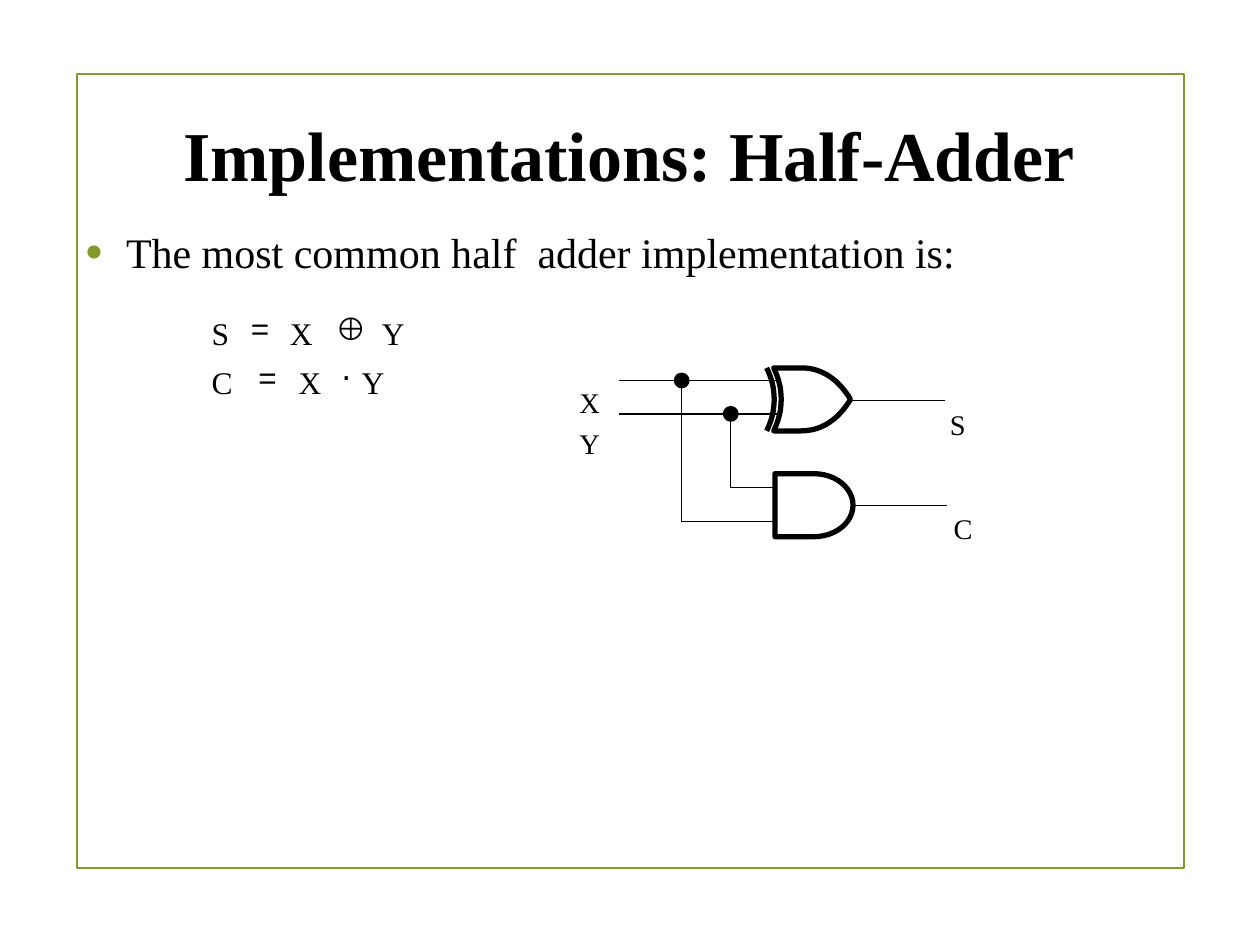
from dataclasses import dataclass

import pptx
import pptx.dml.color
import pptx.enum.shapes
import pptx.enum.text
import pptx.oxml
import pptx.oxml.ns
import pptx.util

COLUMNS, ROWS = 100, 75  # the slide is ruled in square cells of 0.1 inch
SHAPES = pptx.enum.shapes.MSO_SHAPE
ANCHORS = pptx.enum.text.MSO_ANCHOR
AUTO_SIZE = pptx.enum.text.MSO_AUTO_SIZE
ALIGN = pptx.enum.text.PP_ALIGN


@dataclass(frozen=True)
class Theme:
    ink: str = "000000"
    accent: str = "83992A"
    text_font: str = "Times New Roman"
    symbol_font: str = "Arial"
    title_size: float = 40
    body_size: float = 24
    formula_size: float = 18
    label_size: float = 28
    frame_line: float = 1.25
    wire_line: float = 0.75
    gate_line: float = 3
    junction_line: float = 3.25


THEME = Theme()


def cells(count):
    return pptx.util.Inches(round(count / 10, 3))


def color(value):
    return pptx.dml.color.RGBColor.from_string(value)


def place(shape, left, top, width, height):
    shape.left, shape.top = cells(left), cells(top)
    shape.width, shape.height = cells(width), cells(height)


def add_run(paragraph, text, size, font=THEME.text_font, bold=False):
    run = paragraph.add_run()
    run.text = text
    run.font.name = font
    run.font.size = pptx.util.Pt(size)
    run.font.bold = bold
    run.font.color.rgb = color(THEME.ink)
    return run


def outline(shape, width, line=THEME.ink, fill=None):
    shape.shadow.inherit = False
    shape.line.color.rgb = color(line)
    shape.line.width = pptx.util.Pt(width)
    if fill:
        shape.fill.solid()
        shape.fill.fore_color.rgb = color(fill)
    else:
        shape.fill.background()
    return shape


def add_preset(slide, preset, left, top, width, height, line_width, **colors):
    box = [cells(length) for length in (left, top, width, height)]
    return outline(slide.shapes.add_shape(preset, *box), line_width, **colors)


def add_title(slide, text):
    title = slide.shapes.title
    place(title, 5.8, 5, 88.3, 14.3)
    frame = title.text_frame
    frame.auto_size = AUTO_SIZE.NONE
    frame.vertical_anchor = ANCHORS.MIDDLE
    frame.paragraphs[0].alignment = ALIGN.CENTER
    add_run(frame.paragraphs[0], text, THEME.title_size, bold=True)


def add_bullet(slide, text):
    body = slide.placeholders[1]
    place(body, 5.8, 17.5, 85, 55)
    body.text_frame.auto_size = AUTO_SIZE.NONE
    paragraph = body.text_frame.paragraphs[0]
    paragraph.space_before = pptx.util.Pt(0)
    paragraph.space_after = pptx.util.Pt(6)
    properties = paragraph._p.get_or_add_pPr()
    indent = cells(3.2)
    properties.set("marL", str(indent))
    properties.set("indent", str(-indent))
    namespace = pptx.oxml.ns.nsdecls("a")
    for markup in (
        f'<a:buClr {namespace}><a:srgbClr val="{THEME.accent}"/></a:buClr>',
        f'<a:buSzPct {namespace} val="115000"/>',
        f'<a:buFont {namespace} typeface="Arial"/>',
        f'<a:buChar {namespace} char="•"/>',
    ):
        properties.append(pptx.oxml.parse_xml(markup))
    add_run(paragraph, text, THEME.body_size)


def add_text(slide, text, left, top, width, height, size, font=THEME.text_font):
    box = slide.shapes.add_textbox(*map(cells, (left, top, width, height)))
    box.text_frame.word_wrap = False
    box.text_frame.auto_size = AUTO_SIZE.SHAPE_TO_FIT_TEXT
    return box.text_frame, add_run(box.text_frame.paragraphs[0], text, size, font)


def add_formula(slide, top, symbols):
    """Set letters on one row, and operators slightly above it."""
    for text, left, width in symbols:
        letter = text.isalpha()
        font = THEME.text_font if letter else THEME.symbol_font
        row = top if letter else top - 0.4
        frame, _ = add_text(slide, text, left, row, width, 4.7, THEME.formula_size, font)
        frame.margin_left = frame.margin_right = 0
        frame.margin_top = frame.margin_bottom = 0


def add_label(slide, text, left, top, width):
    _, run = add_text(slide, text, left, top, width, 5, THEME.label_size)
    run.font._element.set("baseline", "-25000")


def add_wire(slide, start, end, gate=None):
    """Draw a wire; a gate, if given, holds its start at the right side."""
    wire = slide.shapes.add_connector(
        pptx.enum.shapes.MSO_CONNECTOR.STRAIGHT, *map(cells, start + end))
    if gate is not None:
        wire.begin_connect(gate, 3)
    wire.line.color.rgb = color(THEME.ink)
    wire.line.width = pptx.util.Pt(THEME.wire_line)
    namespace = pptx.oxml.ns.nsdecls("a")
    wire._element.spPr.append(pptx.oxml.parse_xml(f"<a:effectLst {namespace}/>"))


def add_junction(slide, x, y, diameter=0.8):
    add_preset(slide, SHAPES.OVAL, x - diameter / 2, y - diameter / 2, diameter,
               diameter, THEME.junction_line, fill=THEME.ink)


def curve(start, first, second, end, steps=16):
    """Return points along a cubic Bezier curve."""
    points = []
    for step in range(steps + 1):
        t = step / steps
        weights = ((1 - t) ** 3, 3 * t * (1 - t) ** 2, 3 * t * t * (1 - t), t ** 3)
        points.append(tuple(
            sum(weight * value for weight, value in zip(weights, axis))
            for axis in zip(start, first, second, end)))
    return points


def add_outline(slide, points, close):
    corners = [(cells(x), cells(y)) for x, y in points]
    builder = slide.shapes.build_freeform(*corners[0])
    builder.add_line_segments(corners[1:], close=close)
    outline(builder.convert_to_shape(), THEME.gate_line)


def add_xor_gate(slide, left, top, width, height):
    bottom, middle, right = top + height, top + height / 2, left + width

    def input_arc(x):
        return curve((x, top), (x + 0.8, top + 1.6), (x + 0.8, bottom - 1.6), (x, bottom))

    shoulder = left + 0.36 * width
    lower = curve((shoulder, bottom), (left + 3.9, bottom),
                  (left + 5.2, bottom - 1), (right, middle))
    upper = [(x, top + bottom - y) for x, y in reversed(lower)]
    add_outline(slide, input_arc(left) + lower + upper[1:], close=True)
    add_outline(slide, input_arc(left - 0.55), close=False)


def add_circuit(slide):
    x_row, y_row, branch_x, branch_y = 30.2, 32.85, 54.1, 58
    and_left, and_top, and_width, and_height = 61.5, 37.6, 6.2, 5
    upper_row, lower_row = 38.7, 41.4
    output_row = and_top + and_height / 2
    and_gate = add_preset(slide, SHAPES.FLOWCHART_DELAY, and_left, and_top,
                          and_width, and_height, THEME.gate_line)
    add_xor_gate(slide, 61.4, 29.2, 6.1, 5)
    for start, end in (
        ((67.4, 31.8), (75, 31.8)),
        ((49.1, x_row), (61.8, x_row)),
        ((49.1, y_row), (61.8, y_row)),
        ((branch_y, upper_row), (and_left, upper_row)),
        ((branch_x, lower_row), (and_left, lower_row)),
        ((branch_y, y_row), (branch_y, upper_row)),
        ((branch_x, x_row), (branch_x, lower_row)),
    ):
        add_wire(slide, start, end)
    add_wire(slide, (and_left + and_width, output_row), (75.2, output_row), and_gate)
    add_junction(slide, branch_x, x_row)
    add_junction(slide, branch_y, y_row)
    for label in (("X", 45, 27.5, 4.4), ("Y", 45, 30.7, 4.4),
                  ("S", 74.4, 29.2, 3.9), ("C", 74.7, 37.5, 4.2)):
        add_label(slide, *label)


def main():
    presentation = pptx.Presentation()
    presentation.slide_width, presentation.slide_height = cells(COLUMNS), cells(ROWS)
    slide = presentation.slides.add_slide(presentation.slide_layouts[1])
    frame = add_preset(slide, SHAPES.RECTANGLE, 6.1, 5.9, 87.9, 63,
                       THEME.frame_line, line=THEME.accent)
    slide.shapes._spTree.insert(2, frame._element)
    add_title(slide, "Implementations: Half-Adder")
    add_bullet(slide, "The most common half  adder implementation is:")
    add_formula(slide, 24.9, (("S", 16.8, 2.2), ("=", 19.9, 2.1), ("X", 23, 2.8),
                              ("⊕", 26.6, 3), ("Y", 30.3, 2.8)))
    add_formula(slide, 28.8, (("C", 16.8, 2.8), ("=", 20.5, 2.1), ("X", 23.7, 2.8),
                              ("⋅", 27.1, 1), ("Y", 28.7, 2.8)))
    add_circuit(slide)
    presentation.save("out.pptx")


if __name__ == "__main__":
    main()
